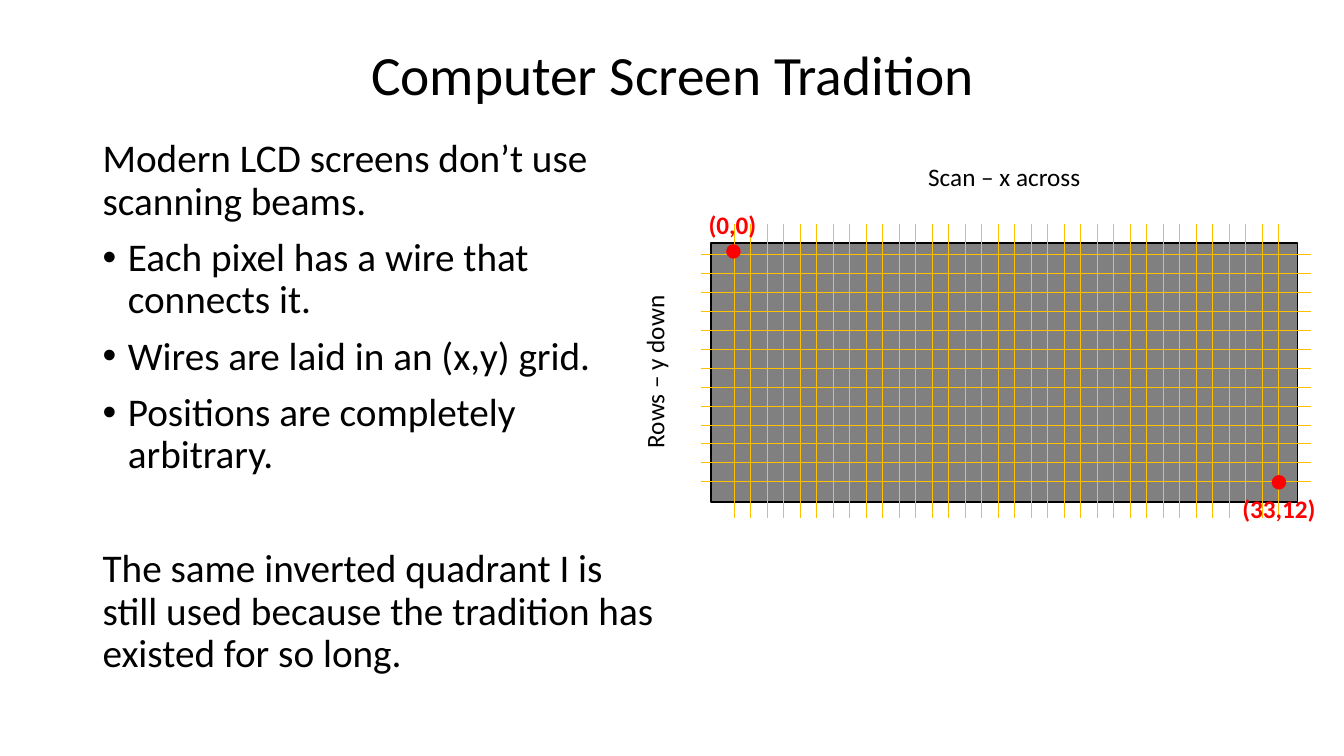
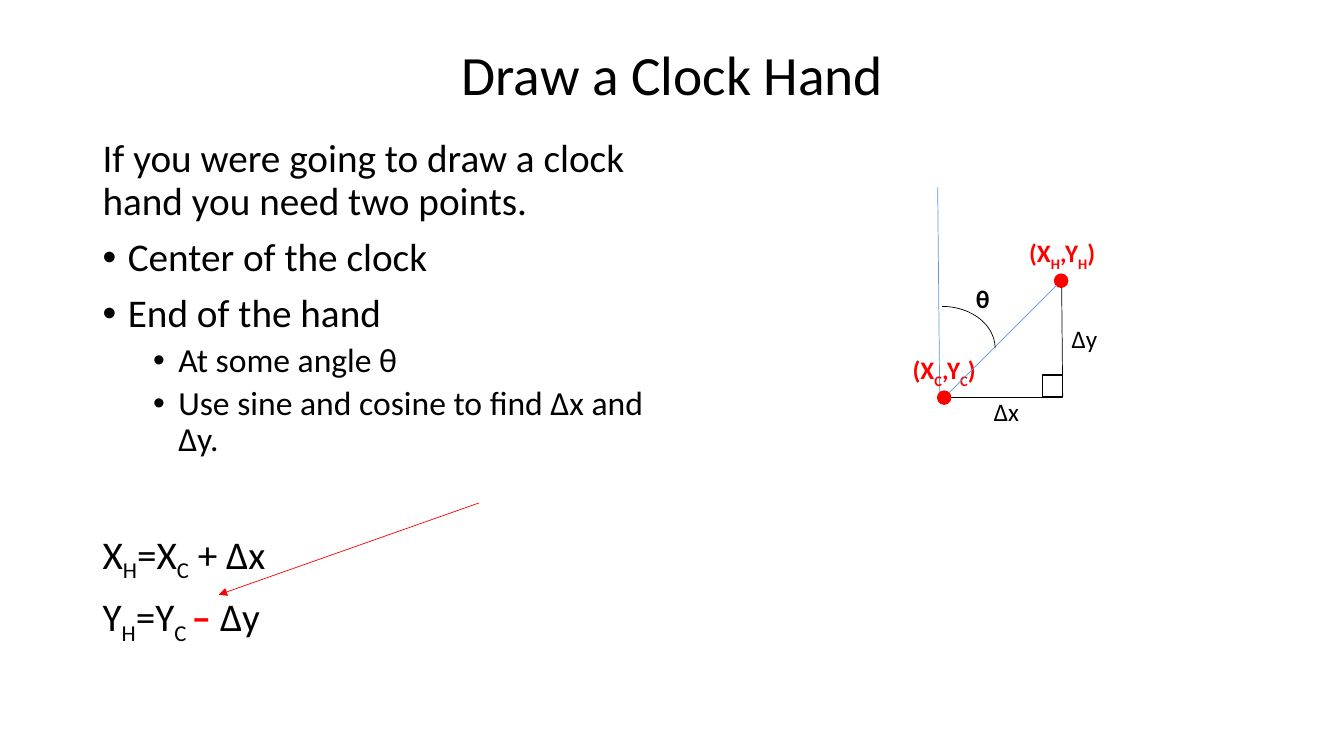
from lxml.etree import SubElement
from pptx import Presentation
from pptx.dml.color import RGBColor
from pptx.enum.shapes import MSO_CONNECTOR, MSO_SHAPE
from pptx.enum.text import MSO_ANCHOR, MSO_AUTO_SIZE, PP_ALIGN
from pptx.oxml.ns import qn
from pptx.util import Emu, Pt

PX = 9144  # 100 px to the inch
FONT = "Calibri"
BLACK, RED, GRAY = "000000", "FF0000", "808080"
GOLD, BLUE = "FFC000", "5B9BD5"

PLAIN, BULLET, SUB_BULLET = "plain", "bullet", "sub-bullet"
# kind: (text size, left margin px, space before)
BODY_STYLES = {PLAIN: (28, 0, 10), BULLET: (28, 25, 10), SUB_BULLET: (24, 75, 5)}
HANGING = 25
SECTION_GAP = 51


def px(length):
    return Emu(round(length * PX))


def color(value):
    return RGBColor.from_string(value)


def low(text):
    """Mark a span as subscript."""
    return text, "low"


def strong(text):
    """Mark a span as bold red."""
    return text, "strong"


class SlideWriter:
    def __init__(self):
        self.deck = Presentation()
        self.deck.slide_width, self.deck.slide_height = px(1333), px(750)
        self.slide = None

    def new_slide(self, title):
        self.slide = self.deck.slides.add_slide(self.deck.slide_layouts[5])
        box = self.slide.shapes.title
        box.left, box.top, box.width, box.height = px(92), px(40), px(1150), px(73)
        frame = box.text_frame
        frame.auto_size = MSO_AUTO_SIZE.NONE
        frame.vertical_anchor = MSO_ANCHOR.MIDDLE
        para = frame.paragraphs[0]
        para.alignment, para.line_spacing = PP_ALIGN.CENTER, 0.9
        self.add_spans(para, [title], 39.6)

    def add_spans(self, para, spans, size, ink=BLACK, bold=False):
        for item in spans:
            text, style = (item, "") if isinstance(item, str) else item
            span = para.add_run()
            span.text = text
            font = span.font
            font.name, font.size = FONT, Pt(size)
            font.bold = bold or style == "strong"
            font.color.rgb = color(RED if style == "strong" else ink)
            if style == "low":
                span._r.get_or_add_rPr().set("baseline", "-25000")

    def text_frame(self, left, top, width, height, rotation=0, wrap=True):
        box = self.slide.shapes.add_textbox(px(left), px(top), px(width), px(height))
        box.rotation = rotation
        box.text_frame.word_wrap = wrap
        return box.text_frame

    def body(self, *paragraphs):
        """Write (kind, spans) paragraphs; a third item overrides the space before."""
        frame = self.text_frame(92, 133, 567, 542)
        for index, (kind, spans, *gap) in enumerate(paragraphs):
            para = frame.add_paragraph() if index else frame.paragraphs[0]
            size, margin, before = BODY_STYLES[kind]
            para.line_spacing = 0.9
            if index:
                para.space_before = Pt(gap[0] if gap else before)
            if margin:
                properties = para._p.get_or_add_pPr()
                properties.set("marL", str(px(margin)))
                properties.set("indent", str(-px(HANGING)))
                SubElement(properties, qn("a:buFont"), typeface="Arial")
                SubElement(properties, qn("a:buChar"), char="•")
            para.level = 1 if kind == SUB_BULLET else 0
            self.add_spans(para, spans, size)

    def label(self, left, top, width, *spans, ink=BLACK, bold=False,
              align=PP_ALIGN.CENTER, rotation=0, wrap=True):
        frame = self.text_frame(left, top, width, 40, rotation, wrap)
        para = frame.paragraphs[0]
        para.alignment = align
        self.add_spans(para, spans, 18, ink, bold)

    def shape(self, kind, left, top, width, height, fill=None, line=BLACK, weight=1):
        shape = self.slide.shapes.add_shape(kind, px(left), px(top), px(width), px(height))
        shape.shadow.inherit = False
        if fill:
            shape.fill.solid()
            shape.fill.fore_color.rgb = color(fill)
        else:
            shape.fill.background()
        shape.line.color.rgb = color(line)
        shape.line.width = Pt(weight)

    def dot(self, left, top):
        self.shape(MSO_SHAPE.OVAL, left, top, 13, 13, RED, RED)

    def line(self, x1, y1, x2, y2, ink, arrow=False):
        line = self.slide.shapes.add_connector(
            MSO_CONNECTOR.STRAIGHT, px(x1), px(y1), px(x2), px(y2))
        line.line.color.rgb = color(ink)
        line.line.width = Pt(0.5)
        if arrow:
            SubElement(line.line._get_or_add_ln(), qn("a:tailEnd"), type="triangle")
        SubElement(line._element.spPr, qn("a:effectLst"))


def screen_slide(writer):
    writer.new_slide("Computer Screen Tradition")
    writer.body(
        (PLAIN, ["Modern LCD screens don’t use scanning beams."]),
        (BULLET, ["Each pixel has a wire that connects it."]),
        (BULLET, ["Wires are laid in an (x,y) grid."]),
        (BULLET, ["Positions are completely arbitrary."]),
        (PLAIN, ["The same inverted quadrant I is still used because "
                 "the tradition has existed for so long."], SECTION_GAP),
    )
    writer.shape(MSO_SHAPE.RECTANGLE, 705, 241, 582, 257, GRAY)
    last_column, last_row = 33, 12
    for column in range(last_column + 1):
        x = 728 + 540 * column / last_column
        writer.line(x, 222, x, 514, GOLD)
    for row in range(last_row + 1):
        y = 252 + 226 * row / last_row
        writer.line(695, y, 1300, y, GOLD)
    writer.label(844, 155, 304, "Scan – x across")
    writer.label(497, 349, 304, "Rows – y down", rotation=270)
    writer.label(1214, 484, 109, "(33,12)", ink=RED, bold=True)
    writer.dot(1262, 472)
    writer.label(693, 203, 68, "(0,0)", ink=RED, bold=True, align=PP_ALIGN.LEFT)
    writer.dot(721, 243)


def clock_slide(writer):
    writer.new_slide("Draw a Clock Hand")
    writer.line(932, 390, 930, 186, BLUE)
    writer.body(
        (PLAIN, ["If you were going to draw a clock hand you need two points."]),
        (BULLET, ["Center of the clock"]),
        (BULLET, ["End of the hand"]),
        (SUB_BULLET, ["At some angle θ"]),
        (SUB_BULLET, ["Use sine and cosine to find Δx and Δy."]),
        (PLAIN, ["X", low("H"), "=X", low("C"), " + Δx"], SECTION_GAP),
        (PLAIN, ["Y", low("H"), "=Y", low("C "), strong("– "), "Δy"]),
    )
    for letter, label_left, label_top, dot_left, dot_top in (
            ("C", 882, 347, 930, 388), ("H", 999, 231, 1046, 272)):
        writer.label(label_left, label_top, 109, "(X", low(letter), ",Y", low(letter), ")",
                     ink=RED, bold=True)
        writer.dot(dot_left, dot_top)
    writer.line(941, 390, 1048, 283, BLUE)
    writer.shape(MSO_SHAPE.ARC, 882, 304, 105, 83, weight=0.5)
    writer.label(958, 276, 56, "θ", bold=True, align=PP_ALIGN.LEFT)
    writer.line(1054, 394, 1053, 285, BLACK)
    writer.line(1053, 394, 943, 394, BLACK)
    writer.shape(MSO_SHAPE.RECTANGLE, 1034, 372, 20, 22)
    writer.label(976, 388, 45, "Δx", align=PP_ALIGN.LEFT, wrap=False)
    writer.label(1053, 316, 46, "Δy", align=PP_ALIGN.LEFT, wrap=False)
    writer.line(475, 499, 217, 590, RED, arrow=True)


def main():
    writer = SlideWriter()
    screen_slide(writer)
    clock_slide(writer)
    writer.deck.save("out.pptx")


if __name__ == "__main__":
    main()
